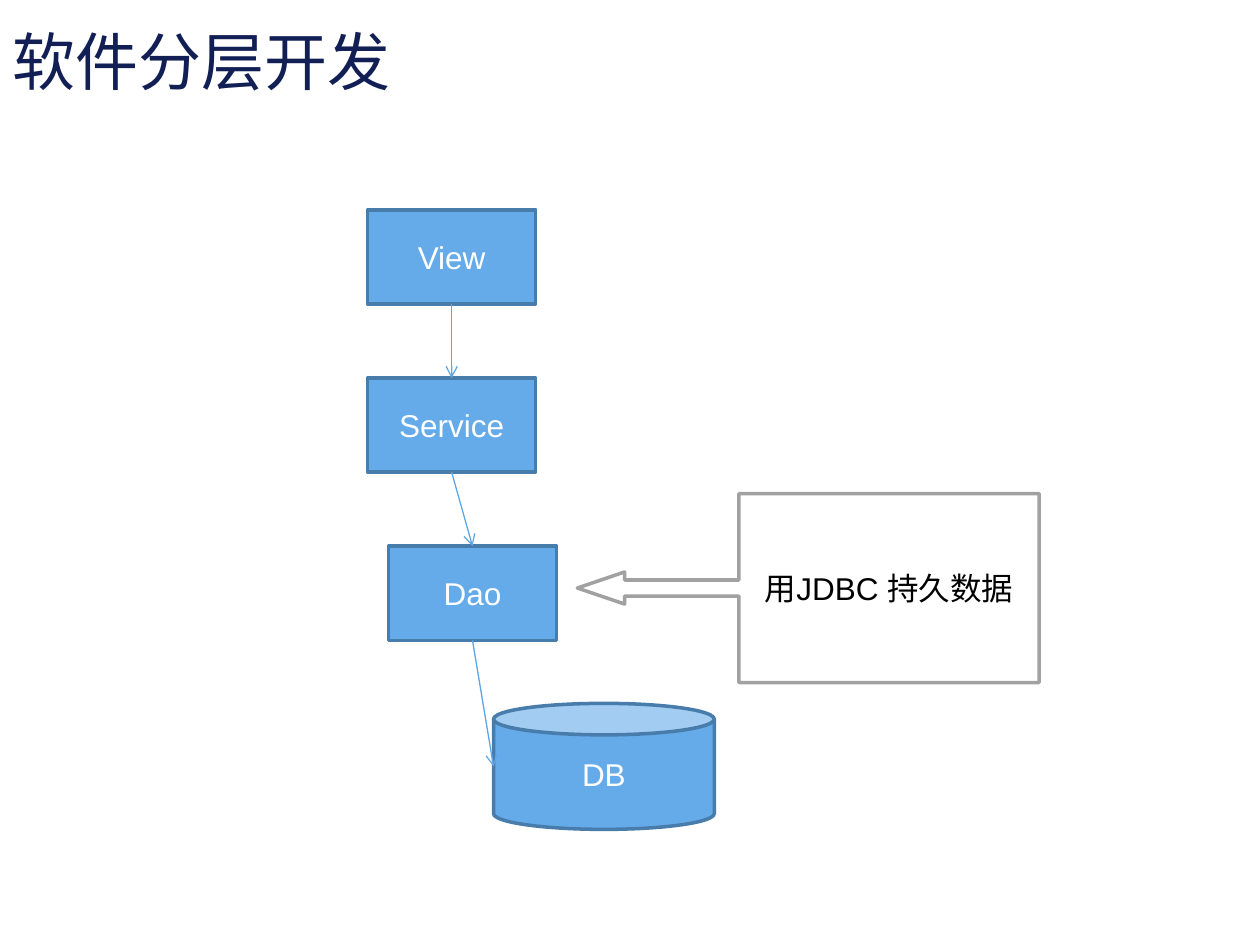
from lxml import etree
from pptx import Presentation
from pptx.dml.color import RGBColor
from pptx.enum.shapes import MSO_CONNECTOR, MSO_SHAPE
from pptx.enum.text import MSO_ANCHOR, PP_ALIGN
from pptx.oxml.ns import qn
from pptx.util import Cm, Pt

RECTANGLE = MSO_SHAPE.RECTANGLE
CAN = MSO_SHAPE.CAN
CALLOUT = MSO_SHAPE.LEFT_ARROW_CALLOUT
STRAIGHT = MSO_CONNECTOR.STRAIGHT
TOP, MIDDLE = MSO_ANCHOR.TOP, MSO_ANCHOR.MIDDLE
LEFT, CENTER = PP_ALIGN.LEFT, PP_ALIGN.CENTER

RECTANGLE_TOP, CAN_TOP, BOTTOM = 0, 1, 2


def color(value):
    return RGBColor.from_string(value)


class LayerSlide:
    font = "Arial"
    navy, blue, border, arrow = "121F55", "65AAE9", "487CAB", "5FA6E7"
    white, black, gray = "FFFFFF", "000000", "A1A1A1"

    def __init__(self, deck):
        self.slide = deck.slides.add_slide(deck.slide_layouts[5])

    def set_text(self, shape, text, size, ink, align, anchor):
        frame = shape.text_frame
        frame.text = text
        frame.word_wrap = True
        frame.vertical_anchor = anchor
        para = frame.paragraphs[0]
        para.alignment = align
        for span in para.runs:
            span.font.name = self.font
            span.font.size = Pt(size)
            span.font.color.rgb = color(ink)

    def title(self, text, left, top, width, height):
        box = self.slide.shapes.title
        box.left, box.top = Cm(left), Cm(top)
        box.width, box.height = Cm(width), Cm(height)
        self.set_text(box, text, 36, self.navy, LEFT, TOP)

    def block(self, kind, text, left, top, width, height,
              fill=blue, line=border, ink=white, adjustments=()):
        box = self.slide.shapes.add_shape(
            kind, Cm(left), Cm(top), Cm(width), Cm(height))
        box.shadow.inherit = False
        box.fill.solid()
        box.fill.fore_color.rgb = color(fill)
        box.line.color.rgb = color(line)
        box.line.width = Pt(2)
        for index, value in enumerate(adjustments):
            box.adjustments[index] = value
        self.set_text(box, text, 18, ink, CENTER, MIDDLE)
        return box

    def link(self, source, target, site):
        connector = self.slide.shapes.add_connector(STRAIGHT, 0, 0, 0, 0)
        connector.begin_connect(source, BOTTOM)
        connector.end_connect(target, site)
        connector.line.color.rgb = color(self.arrow)
        connector.line.width = Pt(0.75)
        properties = connector.element.spPr
        outline = properties.find(qn("a:ln"))
        etree.SubElement(outline, qn("a:tailEnd"), type="arrow")
        etree.SubElement(properties, qn("a:effectLst"))


deck = Presentation()
deck.slide_width, deck.slide_height = Cm(25.4), Cm(19.05)
page = LayerSlide(deck)
page.title("软件分层开发", 0, 0.33, 25.4, 2)

first_top, pitch = 4.23, 3.39
layers = [("View", 7.41), ("Service", 7.41), ("Dao", 7.83)]
boxes = [page.block(RECTANGLE, name, left, first_top + row * pitch, 3.39, 1.9)
         for row, (name, left) in enumerate(layers)]
database = page.block(CAN, "DB", 9.95, 14.18, 4.45, 2.54)

for upper, lower in zip(boxes, boxes[1:]):
    page.link(upper, lower, RECTANGLE_TOP)
page.link(boxes[-1], database, CAN_TOP)

page.block(CALLOUT, "用JDBC 持久数据", 11.64, 9.95, 9.31, 3.81,
           fill=page.white, line=page.gray, ink=page.black,
           adjustments=(0.085, 0.085, 0.25, 0.65))

deck.save("out.pptx")
